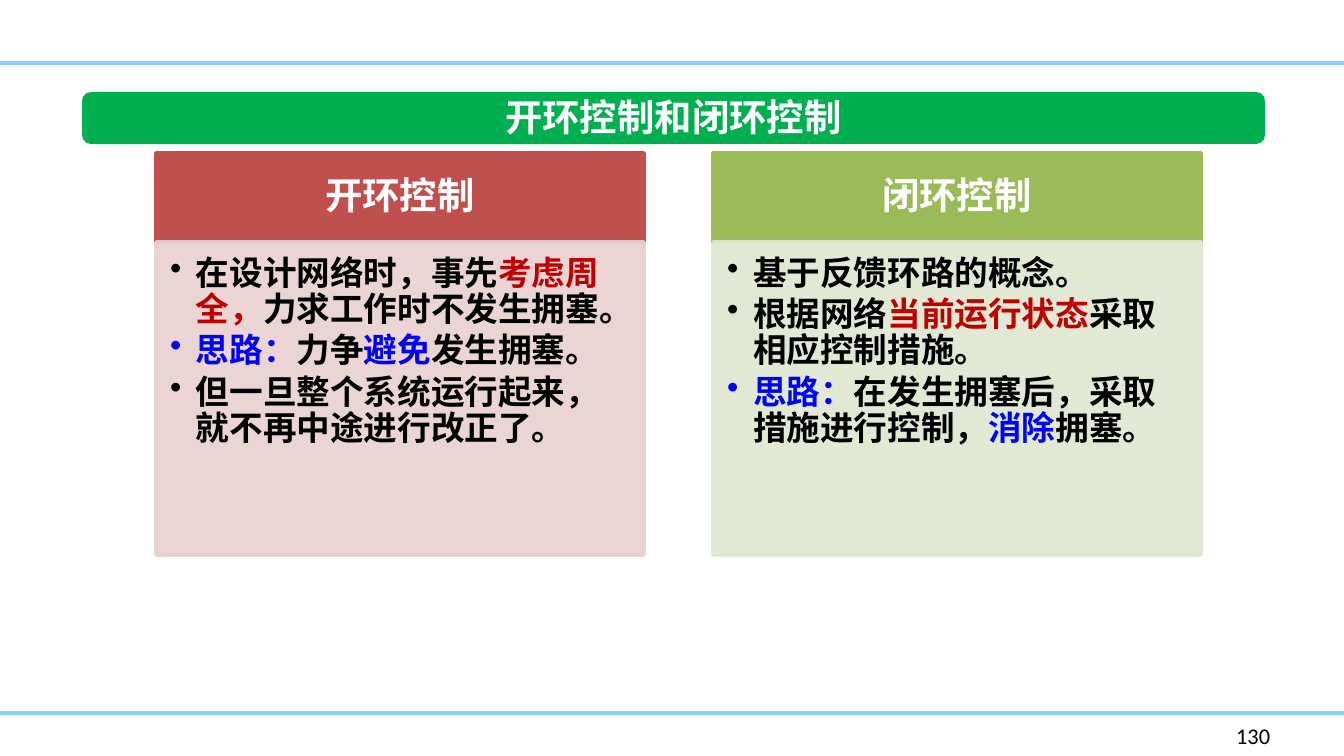
from lxml.etree import SubElement
from pptx import Presentation
from pptx.dml.color import RGBColor
from pptx.enum.shapes import MSO_CONNECTOR, MSO_SHAPE
from pptx.enum.text import MSO_ANCHOR, MSO_AUTO_SIZE, PP_ALIGN
from pptx.oxml.ns import qn
from pptx.util import Emu, Pt

BLACK = RGBColor(0x00, 0x00, 0x00)
WHITE = RGBColor(0xFF, 0xFF, 0xFF)
RED = RGBColor(0xC0, 0x00, 0x00)
BLUE = RGBColor(0x00, 0x00, 0xFF)
SKY = RGBColor(0x85, 0xD1, 0xF7)
GREEN = RGBColor(0x00, 0xB0, 0x50)
BRICK = RGBColor(0xC0, 0x50, 0x4D)
OLIVE = RGBColor(0x9B, 0xBB, 0x59)
PALE_BRICK = RGBColor(0xE8, 0xD0, 0xD0)
PALE_OLIVE = RGBColor(0xDE, 0xE7, 0xD1)

CJK_FONT = "Noto Sans CJK SC"
NUMBER_FONT = "Calibri"

TITLE = "开环控制和闭环控制"
PAGE_NUMBER = "130"
# Each column: heading, heading colour, body colour, bullets made of (text, colour)
COLUMNS = [
    ("开环控制", BRICK, PALE_BRICK, [
        [("在设计网络时，事先", BLACK), ("考虑周全，", RED), ("力求工作时不发生拥塞。", BLACK)],
        [("思路：", BLUE), ("力争", BLACK), ("避免", BLUE), ("发生拥塞。", BLACK)],
        [("但一旦整个系统运行起来，就不再中途进行改正了。", BLACK)],
    ]),
    ("闭环控制", OLIVE, PALE_OLIVE, [
        [("基于反馈环路的概念。", BLACK)],
        [("根据网络", BLACK), ("当前运行状态", RED), ("采取相应控制措施。", BLACK)],
        [("思路：", BLUE), ("在发生拥塞后，采取措施进行控制，", BLACK),
         ("消除", BLUE), ("拥塞。", BLACK)],
    ]),
]

SLIDE_W, SLIDE_H = 1344, 756
RULE_TOPS = (63, 713)
COLUMN_LEFT, COLUMN_STEP, COLUMN_W = 156, 557, 488
HEAD_TOP, HEAD_H, BODY_H = 153, 89, 313
INDENT = 26


def px(count):
    return Emu(round(count * 914400 / 134.4))


def add_span(para, text, size, color, font=CJK_FONT, bold=True):
    span = para.add_run()
    span.text = text
    span.font.size = Pt(size)
    span.font.bold = bold
    span.font.name = font
    span.font.color.rgb = color
    SubElement(span.font._element, qn("a:ea"), typeface=font)


def add_block(page, kind, box, color, line_alpha=None):
    """Add a filled shape; with line_alpha, fill and outline share that opacity."""
    block = page.shapes.add_shape(kind, *map(px, box))
    block.shadow.inherit = False
    block.fill.solid()
    block.fill.fore_color.rgb = color
    if line_alpha is None:
        block.line.fill.background()
        return block
    block.line.color.rgb = color
    block.line.width = Pt(2)
    for tint in block._element.spPr.iter(qn("a:srgbClr")):
        SubElement(tint, qn("a:alpha"), val=str(line_alpha * 1000))
    return block


def set_frame(frame, insets, anchor):
    frame.word_wrap = True
    frame.vertical_anchor = anchor
    (frame.margin_left, frame.margin_top,
     frame.margin_right, frame.margin_bottom) = map(px, insets)


def add_bullet(para):
    props = para._p.get_or_add_pPr()
    props.set("marL", str(px(INDENT)))
    props.set("indent", str(-px(INDENT)))
    SubElement(props, qn("a:buChar"), char="•")


def add_rule(page, top):
    rule = page.shapes.add_connector(
        MSO_CONNECTOR.STRAIGHT, 0, px(top), px(SLIDE_W), px(top))
    rule.line.color.rgb = SKY
    rule.line.width = Pt(2)
    SubElement(rule._element.spPr, qn("a:effectLst"))


def add_title(page):
    banner = add_block(page, MSO_SHAPE.ROUNDED_RECTANGLE, (82, 92, 1183, 52), GREEN)
    banner.adjustments[0] = 0.17
    title = page.shapes.title
    title.left, title.top, title.width, title.height = map(px, (490, 87, 367, 59))
    banner._element.addnext(title._element)  # keep the title in front of its banner
    frame = title.text_frame
    set_frame(frame, (13, 7, 13, 7), MSO_ANCHOR.MIDDLE)
    frame.word_wrap = False
    frame.auto_size = MSO_AUTO_SIZE.NONE
    para = frame.paragraphs[0]
    para.alignment = PP_ALIGN.CENTER
    add_span(para, TITLE, 20, WHITE)


def add_column(page, left, heading, head_color, body_color, bullets):
    head = add_block(page, MSO_SHAPE.RECTANGLE,
                     (left, HEAD_TOP, COLUMN_W, HEAD_H), head_color, 100)
    set_frame(head.text_frame, (22, 12, 22, 12), MSO_ANCHOR.MIDDLE)
    para = head.text_frame.paragraphs[0]
    para.alignment = PP_ALIGN.CENTER
    para.line_spacing = 0.9
    add_span(para, heading, 20, WHITE)

    body = add_block(page, MSO_SHAPE.RECTANGLE,
                     (left, HEAD_TOP + HEAD_H, COLUMN_W, BODY_H), body_color, 90)
    frame = body.text_frame
    set_frame(frame, (14, 14, 19, 22), MSO_ANCHOR.TOP)
    for index, spans in enumerate(bullets):
        para = frame.add_paragraph() if index else frame.paragraphs[0]
        add_bullet(para)
        para.alignment = PP_ALIGN.LEFT
        para.line_spacing = 0.9
        para.space_after = Pt(2.7)
        for text, color in spans:
            add_span(para, text, 18, color)


def main():
    deck = Presentation()
    deck.slide_width, deck.slide_height = px(SLIDE_W), px(SLIDE_H)
    page = deck.slides.add_slide(deck.slide_layouts[5])
    for top in RULE_TOPS:
        add_rule(page, top)
    add_title(page)
    for index, column in enumerate(COLUMNS):
        add_column(page, COLUMN_LEFT + index * COLUMN_STEP, *column)
    number = page.shapes.add_textbox(*map(px, (1223, 716, 102, 40)))
    number.text_frame.word_wrap = True
    add_span(number.text_frame.paragraphs[0], PAGE_NUMBER, 12, BLACK, NUMBER_FONT, False)
    deck.save("out.pptx")


if __name__ == "__main__":
    main()
